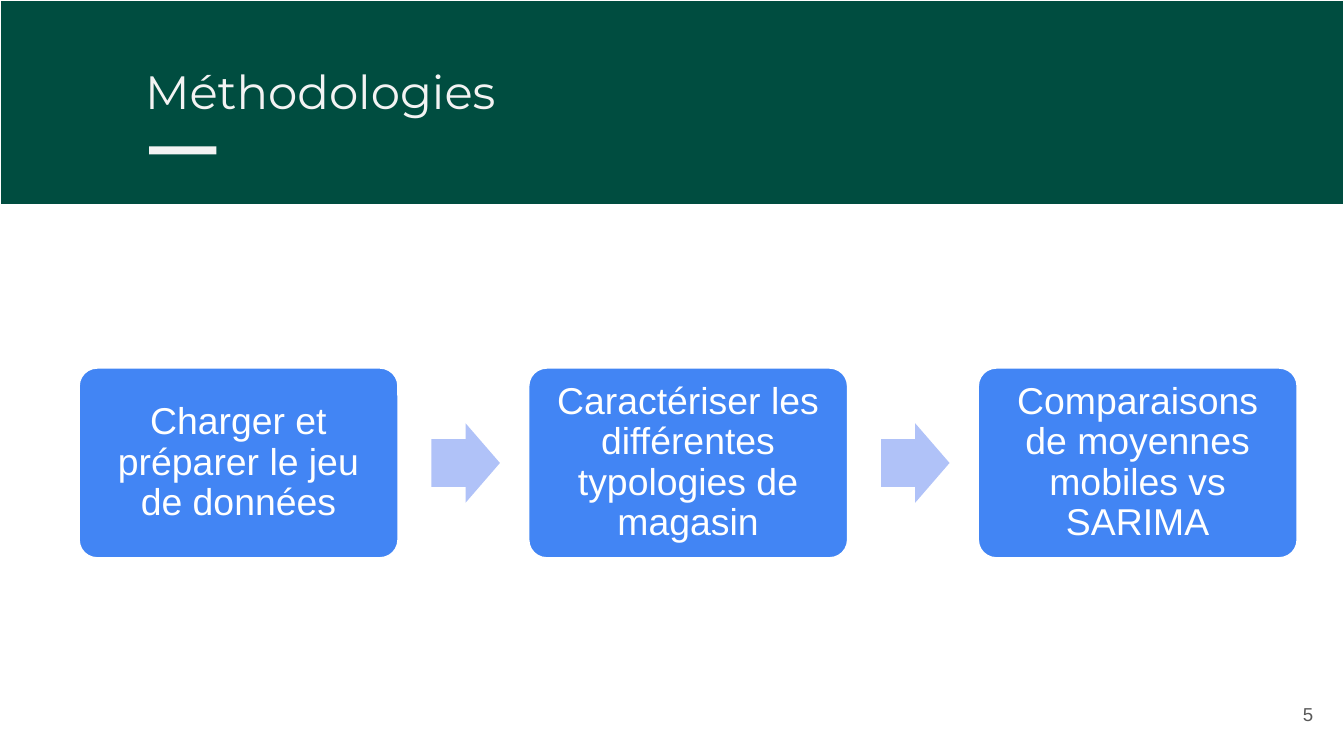
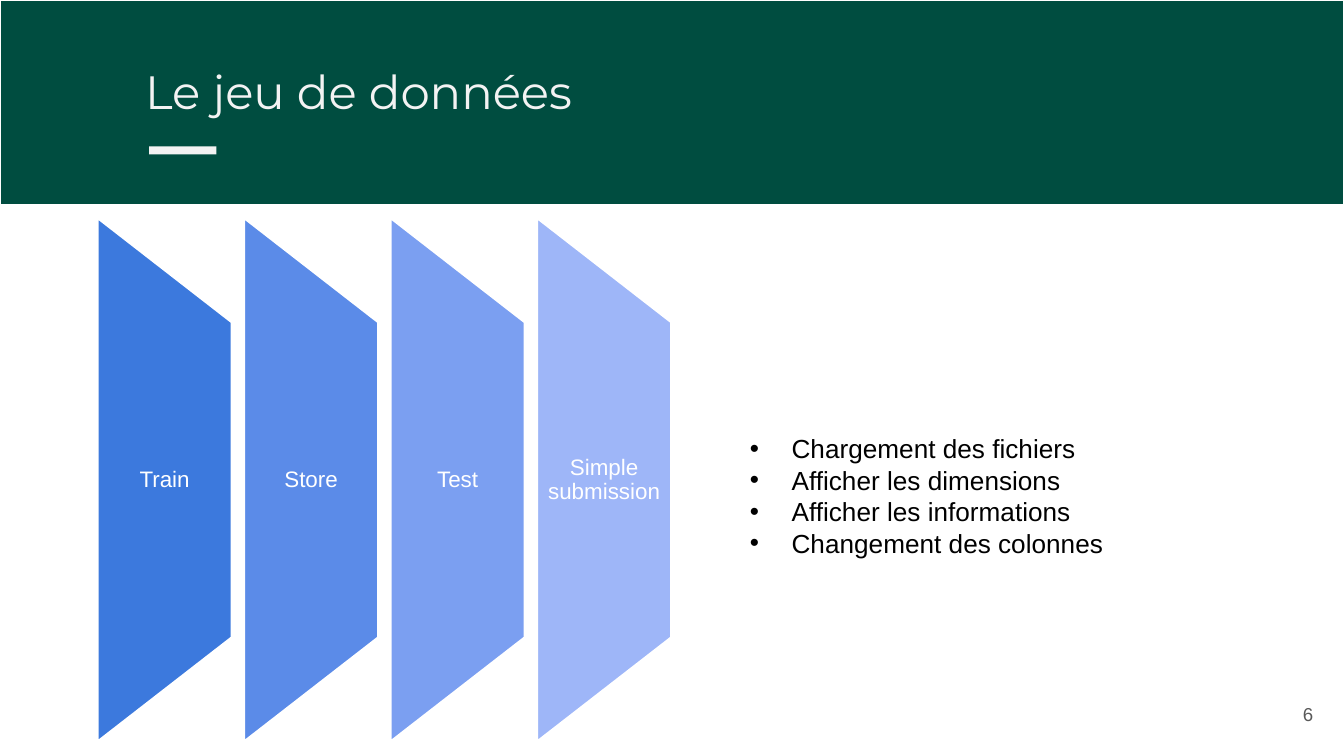
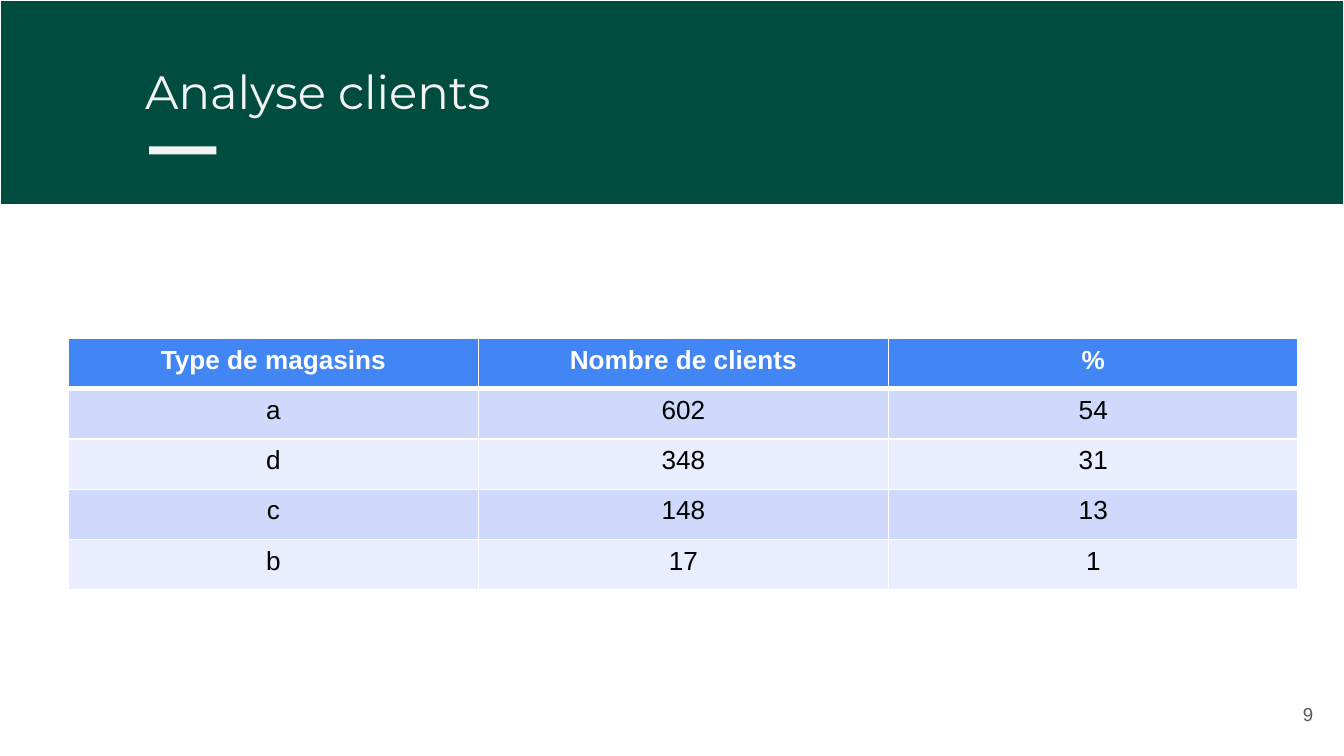
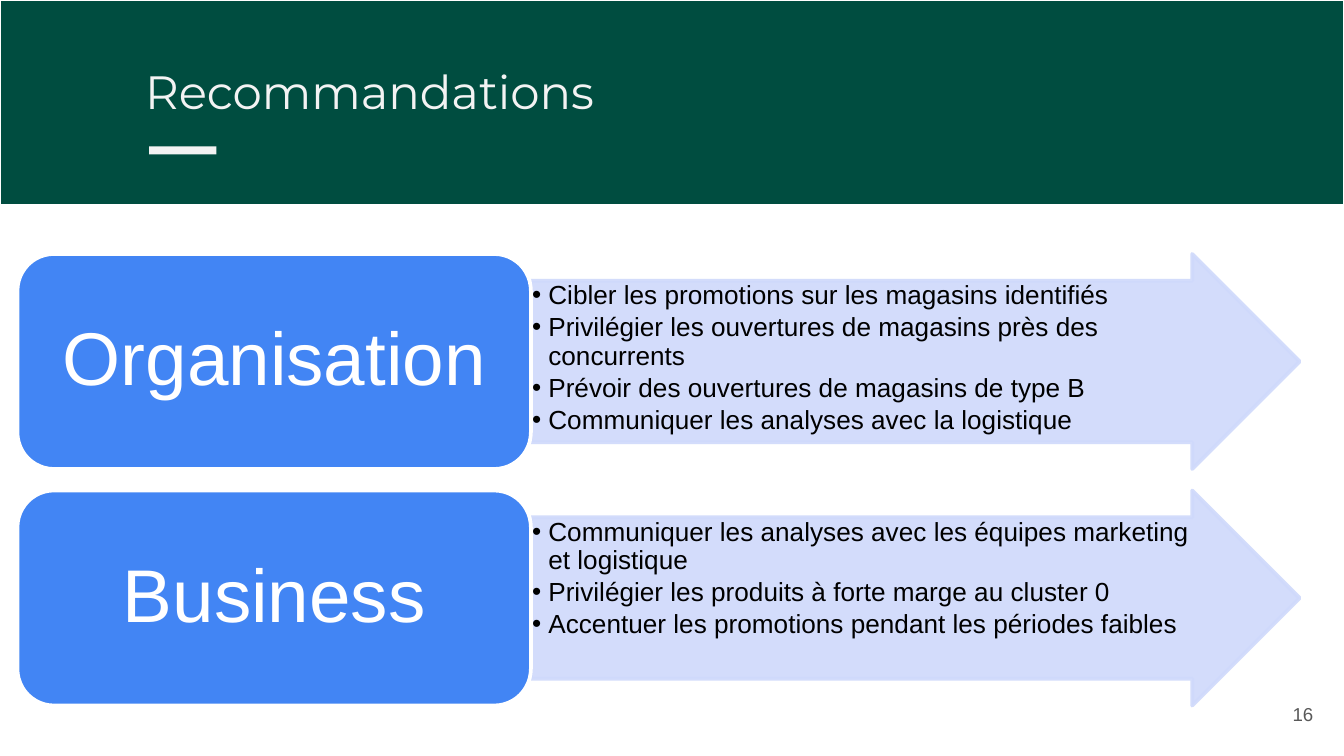
"""Build four slides on forecasting store sales."""
import dataclasses
import pptx
import pptx.dml.color
import pptx.enum.shapes
import pptx.enum.text
import pptx.oxml
import pptx.oxml.ns
import pptx.util
from lxml import etree

KIND = pptx.enum.shapes.MSO_SHAPE
SIDE = pptx.enum.text.PP_ALIGN
ROW = pptx.enum.text.MSO_ANCHOR
QN = pptx.oxml.ns.qn


@dataclasses.dataclass(frozen=True)
class Theme:
    """Hold the grid, colours, fonts and type sizes."""
    cols: float = 100
    rows: float = 56.25
    cell: float = 0.1
    band: str = "004D40"
    pale: str = "F3F3F3"
    white: str = "FFFFFF"
    black: str = "000000"
    grey: str = "595959"
    blue: str = "4285F4"
    link: str = "B0C2F8"
    tint: str = "CFD9FB"
    light: str = "E9EDFD"
    fan: tuple = ("3C79DD", "5B8BE8", "7B9FF1", "9EB6F8")
    head: str = "Montserrat"
    text: str = "Arial"
    title: int = 25
    huge: int = 40
    step: int = 20
    body: int = 14
    label: int = 12
    page: int = 10


T = Theme()


def grid(*units):
    """Turn grid columns and rows into lengths."""
    return [pptx.util.Emu(round(unit * pptx.util.Inches(T.cell)))
            for unit in units]


def color(code):
    """Give the colour for a hex code."""
    return pptx.dml.color.RGBColor.from_string(code)


def place(shape, box):
    """Move a placeholder to a box on the grid."""
    shape.left, shape.top, shape.width, shape.height = grid(*box)


def write(shape, text, size, ink, font=T.text, side=SIDE.LEFT, row=ROW.TOP,
          pad=(1, 1), lead=None):
    """Set the text of a shape and format its runs."""
    frame = shape.text_frame
    frame.text = text
    frame.word_wrap = True
    frame.auto_size = pptx.enum.text.MSO_AUTO_SIZE.NONE
    frame.vertical_anchor = row
    frame.margin_left, frame.margin_top = grid(*pad)
    frame.margin_right, frame.margin_bottom = grid(*pad)
    for para in frame.paragraphs:
        style(para, size, ink, font, side)
        if lead:
            para.line_spacing = lead


def style(para, size, ink, font=T.text, side=SIDE.CENTER, bold=False):
    """Format one paragraph and its runs."""
    para.alignment = side
    for run in para.runs:
        run.font.size = pptx.util.Pt(size)
        run.font.name = font
        run.font.bold = bold
        run.font.color.rgb = color(ink)


def draw(slide, kind, box, fill, line=None, width=2, bends=()):
    """Add a flat preset shape."""
    shape = slide.shapes.add_shape(kind, *grid(*box))
    shape.shadow.inherit = False
    shape.fill.solid()
    shape.fill.fore_color.rgb = color(fill)
    if line:
        shape.line.color.rgb = color(line)
        shape.line.width = pptx.util.Pt(width)
    else:
        shape.line.fill.background()
    for index, bend in enumerate(bends):
        shape.adjustments[index] = bend
    return shape


def fade(shape, share):
    """Make the fill and line of a shape partly clear."""
    for tone in shape.element.spPr.iter(QN("a:srgbClr")):
        etree.SubElement(tone, QN("a:alpha"), val=str(share * 1000))


def frame(deck, layout, title, page):
    """Add a slide with its band, title, bar and page number."""
    slide = deck.slides.add_slide(deck.slide_layouts[layout])
    head = slide.shapes.title
    place(head, (9.8, 3.7, 93.2, 6.3))
    write(head, title, T.title, T.pale, T.head)
    band = draw(slide, KIND.RECTANGLE, (0, 0, T.cols, 15.2),
                T.band, T.white, 0.75)
    head.element.addprevious(band.element)
    draw(slide, KIND.RECTANGLE, (11.1, 10.9, 5, 0.6), T.pale)
    note = slide.shapes.add_textbox(*grid(92.7, 51, 6, 4.3))
    write(note, str(page), T.page, T.grey, side=SIDE.RIGHT, row=ROW.MIDDLE)
    return slide


def bullets(shape, items, box, dent, pad, lead=1, gap=0):
    """Fill a body placeholder with a bulleted list."""
    place(shape, box)
    write(shape, "\n".join(items), T.body, T.black, pad=pad, lead=lead)
    for para in shape.text_frame.paragraphs:
        props = para._p.get_or_add_pPr()
        props.set("marL", str(pptx.util.Inches(dent)))
        props.set("indent", str(-pptx.util.Inches(dent)))
        etree.SubElement(props, QN("a:buChar"), char="•")
        para.space_before = pptx.util.Pt(0)
        para.space_after = pptx.util.Pt(gap)


def tile(slide, text, box, size, pad, bend):
    """Add a rounded blue tile with centred text."""
    shape = draw(slide, KIND.ROUNDED_RECTANGLE, box, T.blue, T.white,
                 bends=(bend,))
    write(shape, text, size, T.white, side=SIDE.CENTER, row=ROW.MIDDLE,
          pad=pad, lead=0.9)


def steps(slide, names):
    """Lay out tiles in a row with arrows between them."""
    left, pitch, wide = 5.8, 33.45, 23.9
    for index, name in enumerate(names):
        col = left + index * pitch
        tile(slide, name, (col, 27.3, wide, 14.3), T.step, (0.8, 0.8), 0.1)
        if index < len(names) - 1:
            draw(slide, KIND.RIGHT_ARROW, (col + 26.3, 31.5, 5.1, 5.9),
                 T.link, bends=(0.6, 0.5))


def fan(slide, names):
    """Lay out upright tapered panels, each with a label."""
    left, pitch, wide, tall, mid = 7.2, 10.9, 10.1, 39.2, 35.7
    for index, (name, fill) in enumerate(zip(names, T.fan)):
        col = left + index * pitch
        box = (col + (wide - tall) / 2, mid - wide / 2, tall, wide)
        panel = draw(slide, KIND.FLOWCHART_MANUAL_OPERATION, box, fill, T.white)
        panel.rotation = 270
        label = slide.shapes.add_textbox(*grid(col, 24, wide, 23.5))
        write(label, name, T.label, T.white, side=SIDE.CENTER,
              row=ROW.MIDDLE, pad=(0.8, 0), lead=0.9)


def edge(cell, heavy):
    """Draw white borders round a cell, the named one thick."""
    props = cell._tc.get_or_add_tcPr()
    for index, name in enumerate(("lnL", "lnR", "lnT", "lnB")):
        width = pptx.util.Pt(3 if name == heavy else 1)
        line = etree.Element(QN("a:" + name), w=str(width))
        fill = etree.SubElement(line, QN("a:solidFill"))
        etree.SubElement(fill, QN("a:srgbClr"), val=T.white)
        props.insert(index, line)


def table(slide, rows, box):
    """Add a banded table with a bold head row."""
    chart = slide.shapes.add_table(len(rows), len(rows[0]), *grid(*box)).table
    for r, row in enumerate(rows):
        top = r == 0
        fill = T.blue if top else (T.light, T.tint)[r % 2]
        for c, text in enumerate(row):
            cell = chart.cell(r, c)
            cell.text_frame.text = text
            style(cell.text_frame.paragraphs[0], T.body,
                  T.white if top else T.black, bold=top)
            cell.fill.solid()
            cell.fill.fore_color.rgb = color(fill)
            edge(cell, {0: "lnB", 1: "lnT"}.get(r))


def advice(slide, groups):
    """Stack a tile and an arrow with a list for each group."""
    bodies = list(slide.placeholders)[1:]
    for index, (body, (name, items)) in enumerate(zip(bodies, groups)):
        top = 18.9 + index * 17.6
        arrow = draw(slide, KIND.RIGHT_ARROW, (39.5, top, 57.2, 16),
                     T.tint, T.tint, bends=(0.75, 0.5))
        fade(arrow, 90)
        arrow.element.addnext(body.element)
        bullets(body, items, (39.5, top + 2, 51.2, 12), 0.12, (0.1, 0.1),
                0.9, 2)
        tile(slide, name, (1.3, top, 38.2, 16), T.huge, (1.7, 0.8), 0.17)


def main():
    """Build and save the deck."""
    deck = pptx.Presentation()
    deck.slide_width, deck.slide_height = grid(T.cols, T.rows)

    steps(frame(deck, 5, "Méthodologies", 5), (
        "Charger et préparer le jeu de données",
        "Caractériser les différentes typologies de magasin",
        "Comparaisons de moyennes mobiles vs SARIMA"))

    slide = frame(deck, 1, "Le jeu de données", 6)
    fan(slide, ("Train", "Store", "Test", "Simple submission"))
    bullets(slide.placeholders[1], (
        "Chargement des fichiers", "Afficher les dimensions",
        "Afficher les informations", "Changement des colonnes"),
        (54.8, 31.7, 40.9, 10.4), 0.31, (1, 0.5))

    table(frame(deck, 5, "Analyse clients", 9), (
        ("Type de magasins", "Nombre de clients", "%"),
        ("a", "602", "54"),
        ("d", "348", "31"),
        ("c", "148", "13"),
        ("b", "17", "1")), (5.1, 25.2, 91.5, 18.7))

    advice(frame(deck, 3, "Recommandations", 16), (
        ("Organisation", (
            "Cibler les promotions sur les magasins identifiés",
            "Privilégier les ouvertures de magasins près des concurrents",
            "Prévoir des ouvertures de magasins de type B",
            "Communiquer les analyses avec la logistique")),
        ("Business", (
            "Communiquer les analyses avec les équipes marketing et logistique",
            "Privilégier les produits à forte marge au cluster 0",
            "Accentuer les promotions pendant les périodes faibles"))))

    deck.save("out.pptx")


if __name__ == "__main__":
    main()
